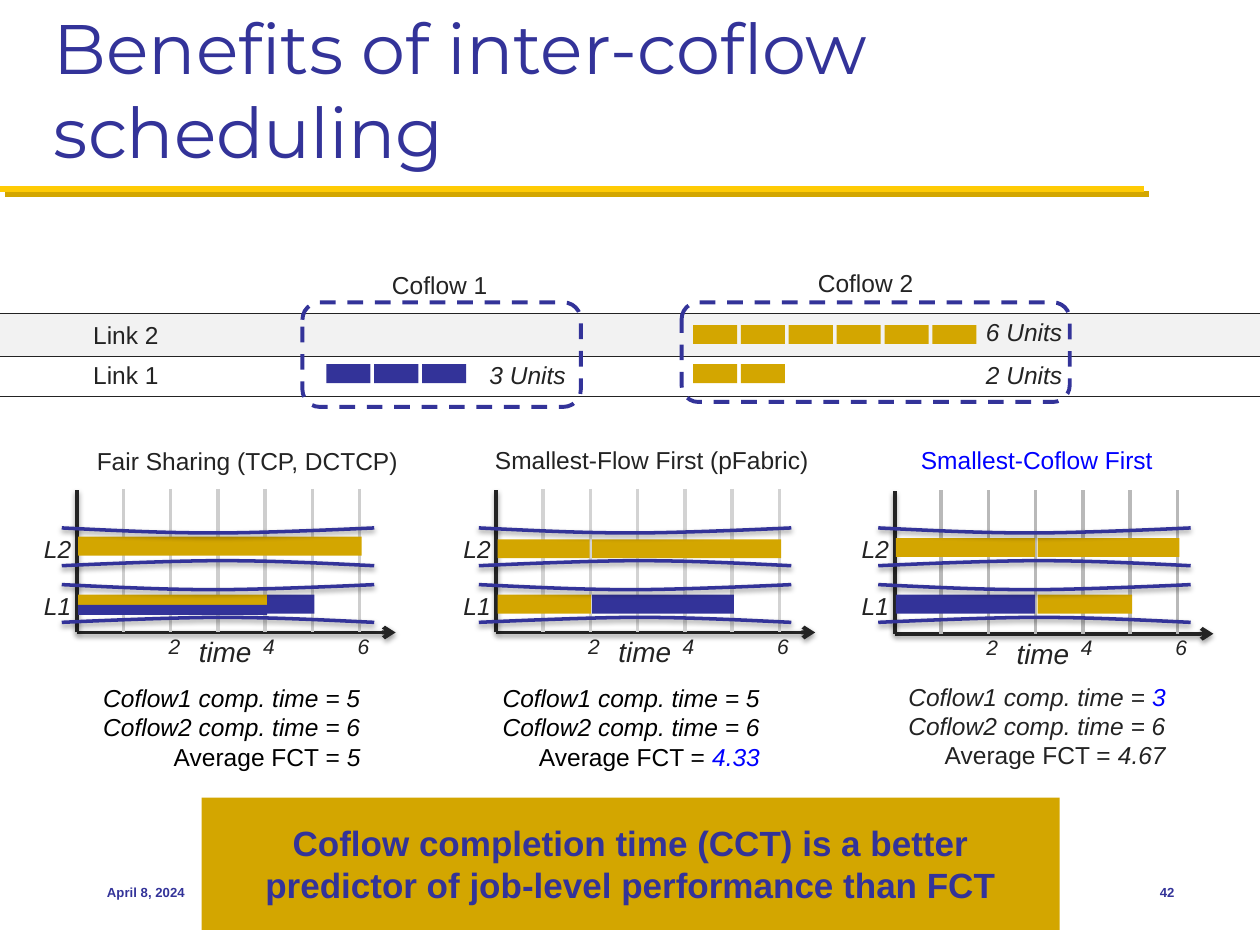
"""Build a slide comparing three schedules of two coflows on two links."""
import dataclasses
import typing

import lxml.etree
import pptx
import pptx.dml.color
import pptx.enum.dml
import pptx.enum.shapes
import pptx.enum.text
import pptx.oxml.ns
import pptx.util

Inches = pptx.util.Inches
qn = pptx.oxml.ns.qn
Kind = pptx.enum.shapes.MSO_SHAPE
Align = pptx.enum.text.PP_ALIGN
Anchor = pptx.enum.text.MSO_ANCHOR


@dataclasses.dataclass(frozen=True)
class Theme:
    blue: str = "333399"
    gold: str = "D3A600"
    sun: str = "FFCB05"
    ink: str = "232323"
    black: str = "000000"
    link: str = "0000FF"
    band: str = "F2F2F2"
    font: str = "Arial"
    head: str = "Montserrat"
    title: float = 40
    claim: float = 20
    axis: float = 16
    body: float = 14
    tick: float = 12
    foot: float = 7.5


T = Theme()


class Box(typing.NamedTuple):
    left: float
    top: float
    width: float
    height: float


class Run(typing.NamedTuple):
    text: str
    color: str | None = None
    slant: bool | None = None


class Shade(typing.NamedTuple):
    color: str
    alpha: int
    blur: float
    dist: float
    angle: int


class Bar(typing.NamedTuple):
    top: float
    start: int
    span: int
    color: str
    height: float = 0.15
    gap: float = 0


@dataclasses.dataclass(frozen=True)
class Panel:
    name: str
    title: Box
    tint: str
    axis: float
    base: float
    grid: str
    curve: float
    label: float
    bars: tuple[Bar, ...]
    note: Box
    ink: str
    times: tuple[Run, Run, Run]


@dataclasses.dataclass(frozen=True)
class Flow:
    name: str
    title: Box
    frame: Box
    color: str
    left: float
    counts: tuple[tuple[float, int], ...]
    units: tuple[tuple[str, Box], ...]


SOFT = Shade("000000", 38, 3.1, 1.6, 90)
HARD = Shade(T.gold, 100, 0, 4.2, 45)
UNIT = 0.375
HIGH, LOW = 4.27, 4.72
BOW = ((0, 0), (0.41, 0.02), (0.81, 0.04), (1.22, 0.04), (1.64, 0.04), (2.48, 0), (2.48, 0))

PANELS = (
    Panel("Fair Sharing (TCP, DCTCP)", Box(0.67, 3.49, 2.6, 0.34), T.ink, 0.61, 5.02, "CECECE", 0.49, 0.25,
          (Bar(4.26, 0, 6, T.gold), Bar(LOW, 0, 4, T.gold, 0.08), Bar(4.8, 0, 4, T.blue, 0.08),
           Bar(LOW, 4, 1, T.blue)),
          Box(0.71, 5.37, 2.25, 0.81), T.black, (Run("5"), Run("6"), Run("5"))),
    Panel("Smallest-Flow First (pFabric)", Box(3.83, 3.48, 2.7, 0.34), T.ink, 3.94, 5.02, "D3D3D3", 3.8, 3.58,
          (Bar(LOW, 2, 3, T.blue), Bar(LOW, 0, 2, T.gold, gap=0.01),
           Bar(4.28, 0, 2, T.gold, gap=0.02), Bar(4.28, 2, 4, T.gold)),
          Box(3.8, 5.37, 2.33, 0.81), T.black, (Run("5"), Run("6"), Run("4.33", T.link))),
    Panel("Smallest-Coflow First", Box(7.21, 3.48, 2.05, 0.34), T.link, 7.1, 5.03, "B9B9B9", 6.97, 6.74,
          (Bar(LOW, 3, 2, T.gold), Bar(LOW, 0, 3, T.blue, gap=0.02),
           Bar(HIGH, 0, 3, T.gold, gap=0.02), Bar(HIGH, 3, 3, T.gold)),
          Box(7.1, 5.36, 2.25, 0.81), T.ink, (Run("3", T.link), Run("6"), Run("4.67"))),
)
FLOWS = (
    Flow("Coflow 1", Box(2.39, 2.09, 2.2, 0.34), Box(2.4, 2.4, 2.21, 0.83), T.blue, 2.59,
         ((2.89, 3),), (("3 Units", Box(3.56, 2.81, 1.03, 0.34)),)),
    Flow("Coflow 2", Box(5.4, 2.08, 2.94, 0.34), Box(5.41, 2.4, 3.08, 0.79), T.gold, 5.5,
         ((2.58, 6), (2.89, 2)),
         (("6 Units", Box(7.5, 2.47, 1.03, 0.34)), ("2 Units", Box(7.5, 2.81, 1.03, 0.34)))),
)


def rgb(code: str) -> pptx.dml.color.RGBColor:
    return pptx.dml.color.RGBColor.from_string(code)


def finish(item, fx: Shade | None = None) -> None:
    effects = item.element.spPr.find(qn("a:effectLst"))
    if effects is None:
        effects = lxml.etree.SubElement(item.element.spPr, qn("a:effectLst"))
    if fx:
        cast = lxml.etree.SubElement(effects, qn("a:outerShdw"), blurRad=str(round(fx.blur * 12700)),
                                     dist=str(round(fx.dist * 12700)), dir=str(fx.angle * 60000),
                                     algn="ctr", rotWithShape="0")
        tone = lxml.etree.SubElement(cast, qn("a:srgbClr"), val=fx.color)
        lxml.etree.SubElement(tone, qn("a:alpha"), val=str(fx.alpha * 1000))


def stroke(item, color: str, width: float) -> None:
    item.line.color.rgb = rgb(color)
    item.line.width = pptx.util.Pt(width)


def rule(slide, x1: float, y1: float, x2: float, y2: float, color: str, width: float,
         fx: Shade | None = None, arrow: bool = False) -> None:
    line = slide.shapes.add_connector(pptx.enum.shapes.MSO_CONNECTOR.STRAIGHT,
                                      Inches(x1), Inches(y1), Inches(x2), Inches(y2))
    stroke(line, color, width)
    if arrow:
        lxml.etree.SubElement(line.element.spPr.find(qn("a:ln")), qn("a:tailEnd"), type="arrow")
    finish(line, fx)


def block(slide, box: Box, fill: str | None = None, edge: str | None = None,
          width: float = 0.75, kind=Kind.RECTANGLE):
    shape = slide.shapes.add_shape(kind, *map(Inches, box))
    if fill:
        shape.fill.solid()
        shape.fill.fore_color.rgb = rgb(fill)
    else:
        shape.fill.background()
    if edge:
        stroke(shape, edge, width)
    else:
        shape.line.fill.background()
    finish(shape)
    return shape


def write(shape, rows: list[list[Run]], size: float = T.body, color: str = T.ink, font: str = T.font,
          slant: bool = False, bold: bool = False, align=Align.LEFT, anchor=Anchor.TOP, wrap: bool = True) -> None:
    frame = shape.text_frame
    frame.word_wrap, frame.vertical_anchor = wrap, anchor
    if not wrap:
        frame.auto_size = pptx.enum.text.MSO_AUTO_SIZE.SHAPE_TO_FIT_TEXT
    for place, row in enumerate(rows):
        para = frame.add_paragraph() if place else frame.paragraphs[0]
        para.alignment = align
        para.font.size, para.font.name = pptx.util.Pt(size), font
        para.font.italic, para.font.bold = slant, bold
        para.font.color.rgb = rgb(color)
        for part in row:
            run = para.add_run()
            run.text = part.text
            if part.color:
                run.font.color.rgb = rgb(part.color)
            if part.slant is not None:
                run.font.italic = part.slant


def label(slide, box: Box, text: str, **style) -> None:
    write(slide.shapes.add_textbox(*map(Inches, box)), [[Run(text)]], **style)


def bend(slide, points: list[tuple[float, float]]) -> None:
    spots = [(Inches(x), Inches(y)) for x, y in points]
    maker = slide.shapes.build_freeform(*spots[0])
    maker.add_line_segments(spots[1:], close=False)
    shape = maker.convert_to_shape()
    steps = list(shape.element.iter(qn("a:lnTo")))
    for first in range(0, len(steps), 3):
        curve = lxml.etree.SubElement(steps[0].getparent(), qn("a:cubicBezTo"))
        for step in steps[first:first + 3]:
            curve.append(step[0])
    for step in steps:
        step.getparent().remove(step)
    shape.fill.background()
    stroke(shape, T.blue, 2)
    finish(shape, SOFT)


def chart(slide, p: Panel) -> None:
    rule(slide, p.axis, p.base, p.axis + 2.53, p.base, T.ink, 2.25, SOFT, True)
    rule(slide, p.axis, p.base, p.axis, p.base - 1.13, T.ink, 2.25, SOFT)
    for step in range(6):
        x = p.axis + 0.37 + step * UNIT
        rule(slide, x, p.base - 1.14, x, p.base, p.grid, 2)
    label(slide, Box(p.axis + 0.87, p.base - 0.03, 0.63, 0.37), "time", size=T.axis, slant=True, wrap=False)
    for step in range(3):
        label(slide, Box(p.axis + 0.63 + 2 * step * UNIT, p.base - 0.04, 0.29, 0.3), str(2 * step + 2),
              size=T.tick, slant=True, wrap=False)
    for bar in p.bars:
        block(slide, Box(p.axis + 0.01 + bar.start * UNIT, bar.top, bar.span * UNIT - bar.gap, bar.height), bar.color)
    for name, top in (("L1", 4.64), ("L2", 4.19)):
        bend(slide, [(p.curve + x, top + y) for x, y in BOW])
        bend(slide, [(p.curve + 2.48 - x, top + 0.3 - y) for x, y in BOW])
        label(slide, Box(p.label, top, 0.42, 0.34), name, slant=True, wrap=False)
    label(slide, p.title, p.name, color=p.tint, wrap=False)
    heads = (Run("Coflow1 comp. time = "), Run("Coflow2 comp. time = "), Run("Average FCT = ", None, False))
    write(slide.shapes.add_textbox(*map(Inches, p.note)), [list(row) for row in zip(heads, p.times)],
          color=p.ink, slant=True, align=Align.RIGHT)


def coflow(slide, flow: Flow) -> None:
    frame = block(slide, flow.frame, None, T.blue, 2.25, Kind.ROUNDED_RECTANGLE)
    frame.line.dash_style = pptx.enum.dml.MSO_LINE.DASH
    label(slide, flow.title, flow.name, align=Align.CENTER)
    for top, count in flow.counts:
        for step in range(count):
            block(slide, Box(flow.left + step * 0.38, top, 0.35, 0.15), flow.color)
    for text, box in flow.units:
        label(slide, box, text, slant=True, align=Align.RIGHT)


def main() -> None:
    deck = pptx.Presentation()
    deck.slide_width, deck.slide_height = Inches(10), Inches(7.5)
    slide = deck.slides.add_slide(deck.slide_layouts[6])
    rule(slide, 0, 1.5, 9.08, 1.5, T.sun, 3.5, HARD)
    label(slide, Box(0.33, 0.17, 9.33, 1.25), "Benefits of inter-coflow scheduling", size=T.title,
          color=T.blue, font=T.head, anchor=Anchor.BOTTOM)
    for panel in PANELS:
        chart(slide, panel)
    for text, top, fill in (("Link 1", 2.81, None), ("Link 2", 2.49, T.band)):
        band = block(slide, Box(-0.17, top, 10.33, 0.34), fill, T.ink)
        band.text_frame.margin_left = Inches(0.91)
        write(band, [[Run(text)]])
    for flow in FLOWS:
        coflow(slide, flow)
    foot = {"size": T.foot, "color": T.blue, "bold": True, "anchor": Anchor.MIDDLE}
    label(slide, Box(0.75, 6.83, 2.08, 0.5), "April 8, 2024", **foot)
    claim = block(slide, Box(1.6, 6.33, 6.81, 1.05), T.gold)
    claim.text_frame.margin_left = claim.text_frame.margin_right = Inches(0.15)
    write(claim, [[Run("Coflow completion time (CCT) is a better predictor of job-level performance than FCT")]],
          size=T.claim, color=T.blue, bold=True, align=Align.CENTER, anchor=Anchor.MIDDLE)
    label(slide, Box(8.75, 6.83, 0.67, 0.5), "42", align=Align.RIGHT, **foot)
    deck.save("out.pptx")


if __name__ == "__main__":
    main()
